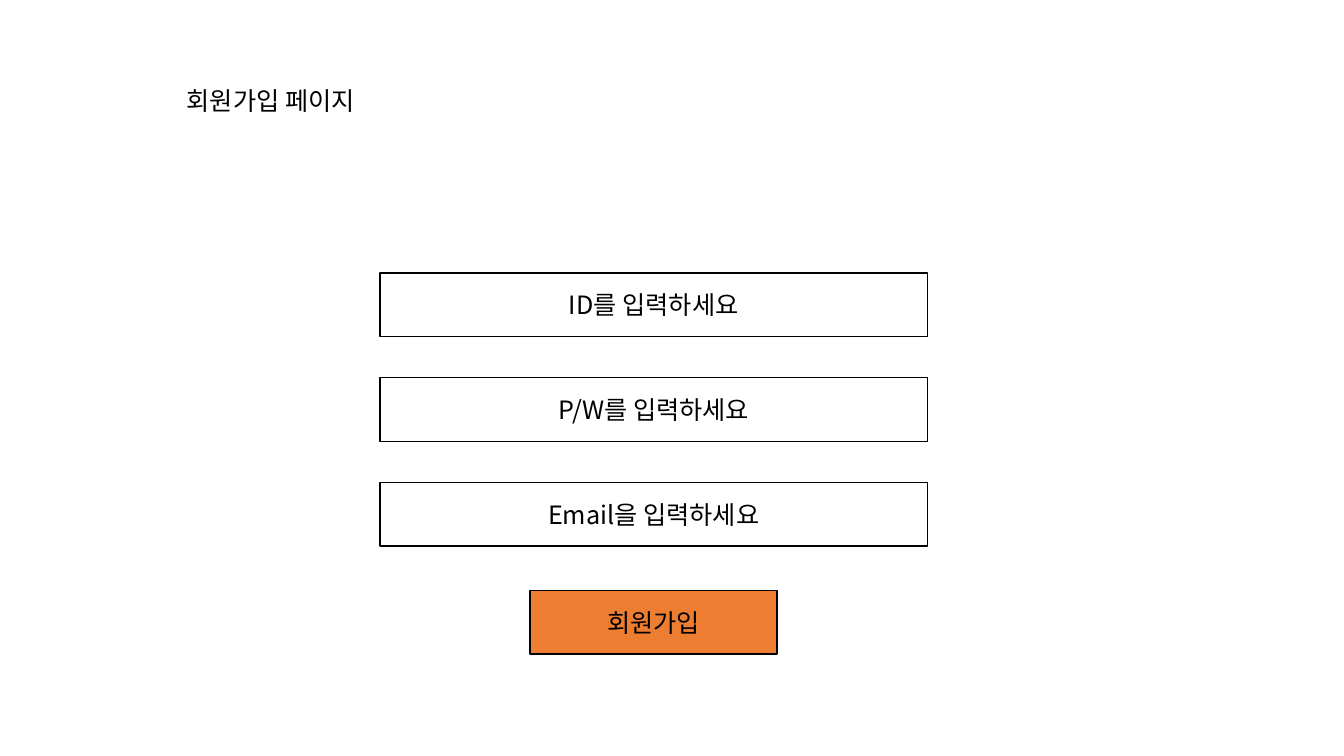
"""Build the sign-up page slide."""
from dataclasses import dataclass
from typing import Optional

from lxml import etree
from pptx import Presentation
from pptx.dml.color import RGBColor
from pptx.enum import shapes, text
from pptx.oxml import ns
from pptx.util import Cm, Pt

BLACK = RGBColor(0x00, 0x00, 0x00)
ORANGE = RGBColor(0xED, 0x7D, 0x31)
FONT = "Noto Sans CJK KR"
HIGH = 1.6
FIRST = 6.88
STEP = 2.64


@dataclass
class Box:
    label: str
    left: float
    top: float
    width: float
    fill: Optional[RGBColor] = None


def write(frame, label: str, align) -> None:
    frame.text = label
    para = frame.paragraphs[0]
    para.alignment = align
    font = para.font
    font.size = Pt(18)
    font.color.rgb = BLACK
    font.name = FONT
    props = para._p.pPr.find(ns.qn("a:defRPr"))
    etree.SubElement(props, ns.qn("a:ea")).set("typeface", FONT)


def draw(slide, box: Box) -> None:
    rect = slide.shapes.add_shape(
        shapes.MSO_SHAPE.RECTANGLE,
        Cm(box.left), Cm(box.top), Cm(box.width), Cm(HIGH))
    rect.shadow.inherit = False
    rect.line.color.rgb = BLACK
    rect.line.width = Pt(1)
    if box.fill is None:
        rect.fill.background()
    else:
        rect.fill.solid()
        rect.fill.fore_color.rgb = box.fill
    rect.text_frame.vertical_anchor = text.MSO_ANCHOR.MIDDLE
    write(rect.text_frame, box.label, text.PP_ALIGN.CENTER)


def head(slide, label: str) -> None:
    title = slide.shapes.title
    title.left, title.top = Cm(4.45), Cm(2.03)
    title.width, title.height = Cm(5.23), Cm(1.02)
    frame = title.text_frame
    frame.word_wrap = False
    frame.auto_size = text.MSO_AUTO_SIZE.SHAPE_TO_FIT_TEXT
    frame.vertical_anchor = text.MSO_ANCHOR.TOP
    write(frame, label, text.PP_ALIGN.LEFT)


def main() -> None:
    deck = Presentation()
    deck.slide_width, deck.slide_height = Cm(33.87), Cm(19.05)
    slide = deck.slides.add_slide(deck.slide_layouts.get_by_name("Title Only"))
    head(slide, "회원가입 페이지")
    prompts = ("ID를 입력하세요", "P/W를 입력하세요", "Email을 입력하세요")
    fields = [Box(prompt, 9.58, FIRST + row * STEP, 13.79)
              for row, prompt in enumerate(prompts)]
    button = Box("회원가입", 13.36, 14.88, 6.22, ORANGE)
    for box in (*fields, button):
        draw(slide, box)
    deck.save("out.pptx")


main()
